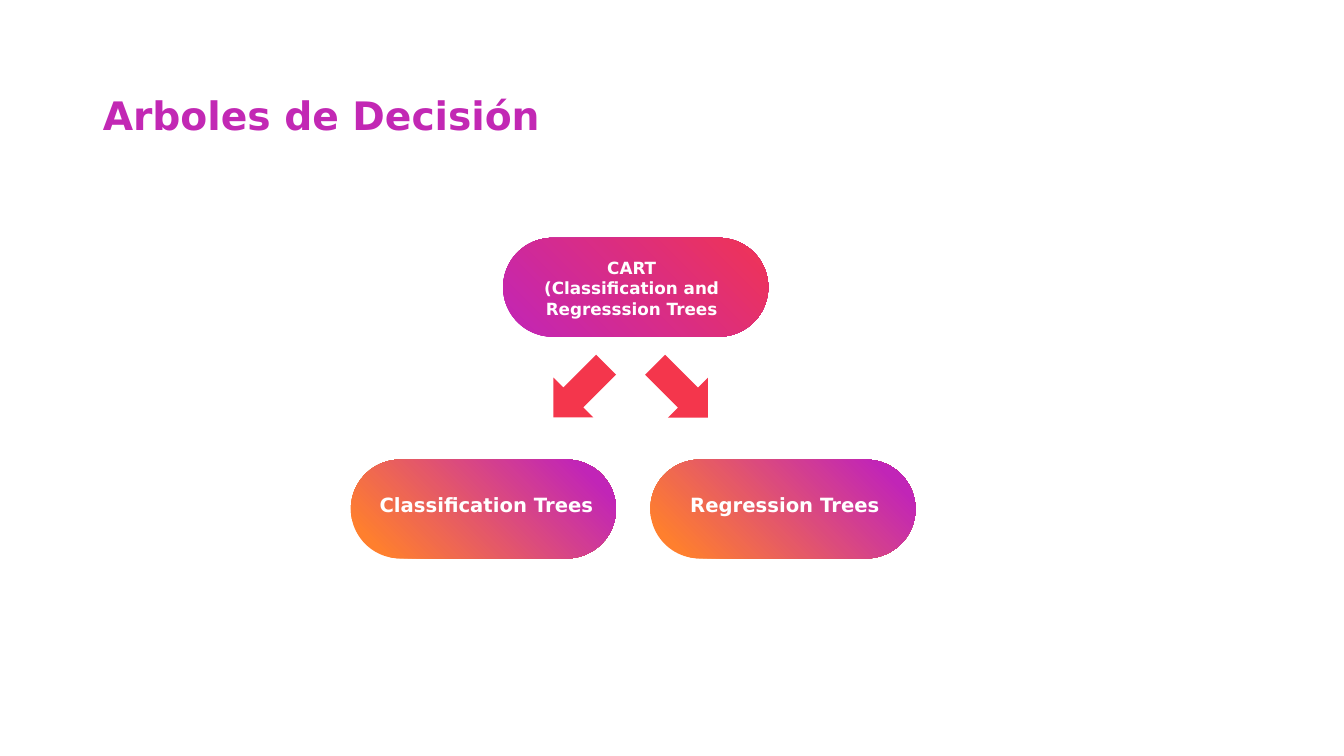
"""Build a slide that splits CART into classification and regression trees."""
from pptx import Presentation
from pptx.dml.color import RGBColor
from pptx.enum.shapes import MSO_SHAPE
from pptx.enum.text import MSO_ANCHOR, PP_ALIGN
from pptx.util import Emu, Pt

PX = 9144
FONT = "DejaVu Sans"
MAGENTA = RGBColor(0xC2, 0x28, 0xB4)
PURPLE = RGBColor(0xC1, 0x25, 0xB7)
ROSE = RGBColor(0xF0, 0x34, 0x55)
ORANGE = RGBColor(0xFF, 0x7F, 0x2E)
RED = RGBColor(0xF4, 0x36, 0x4C)
WHITE = RGBColor(0xFF, 0xFF, 0xFF)
PILL = MSO_SHAPE.ROUNDED_RECTANGLE
ARROW = MSO_SHAPE.DOWN_ARROW
MIDDLE = MSO_ANCHOR.MIDDLE
LEFT, CENTER = PP_ALIGN.LEFT, PP_ALIGN.CENTER

ROOT_STOPS = ((0, PURPLE), (1, ROSE))
LEAF_STOPS = ((0.1, ORANGE), (0.89, PURPLE))
LEAVES = ((348, 365, "Classification Trees"), (645, 661, "Regression Trees"))
ARROWS = ((547, 45), (648, 315))


def px(*lengths):
    """Turn px lengths into EMU."""
    return [Emu(length * PX) for length in lengths]


def format_text(frame, size, color, align, line_spacing=None, space_before=None):
    """Format every paragraph and run of a text frame."""
    frame.word_wrap = True
    for para in frame.paragraphs:
        para.alignment = align
        para.line_spacing = line_spacing
        para.space_before = space_before
        for span in para.runs:
            span.font.name = FONT
            span.font.size = Pt(size)
            span.font.bold = True
            span.font.color.rgb = color


def add_title(page, text):
    """Place and format the title placeholder."""
    title = page.shapes.title
    title.left, title.top, title.width, title.height = px(92, 71, 1150, 91)
    title.text_frame.text = text
    title.text_frame.vertical_anchor = MIDDLE
    format_text(title.text_frame, 28, MAGENTA, LEFT, 0.9)


def add_pill(page, left, top, stops):
    """Add a pill whose gradient rises from bottom left to top right."""
    pill = page.shapes.add_shape(PILL, *px(left, top, 263, 98))
    pill.adjustments[0] = 0.5
    pill.shadow.inherit = False
    pill.line.fill.background()
    pill.fill.gradient()
    pill.fill.gradient_angle = 45
    for stop, (position, color) in zip(pill.fill.gradient_stops, stops):
        stop.position = position
        stop.color.rgb = color


def add_label(page, left, top, text, size, **spacing):
    """Add a centred white label."""
    box = page.shapes.add_textbox(*px(left, top, 235, 44))
    box.text_frame.text = text
    format_text(box.text_frame, size, WHITE, CENTER, **spacing)


def add_arrow(page, left, rotation):
    """Add a turned block arrow."""
    arrow = page.shapes.add_shape(ARROW, *px(left, 351, 56, 74))
    arrow.rotation = rotation
    arrow.shadow.inherit = False
    arrow.fill.solid()
    arrow.fill.fore_color.rgb = RED
    arrow.line.fill.background()


def main():
    """Build and save the deck."""
    deck = Presentation()
    deck.slide_width, deck.slide_height = px(1333, 750)
    page = deck.slides.add_slide(deck.slide_layouts[5])
    add_title(page, "Arboles de Decisión")
    add_pill(page, 499, 236, ROOT_STOPS)
    add_label(page, 509, 251, "CART\n(Classification and Regresssion Trees", 12)
    for pill_left, label_left, text in LEAVES:
        add_pill(page, pill_left, 456, LEAF_STOPS)
        add_label(page, label_left, 487, text, 14,
                  line_spacing=0.9, space_before=Pt(7.5))
    for left, rotation in ARROWS:
        add_arrow(page, left, rotation)
    deck.save("out.pptx")


if __name__ == "__main__":
    main()
